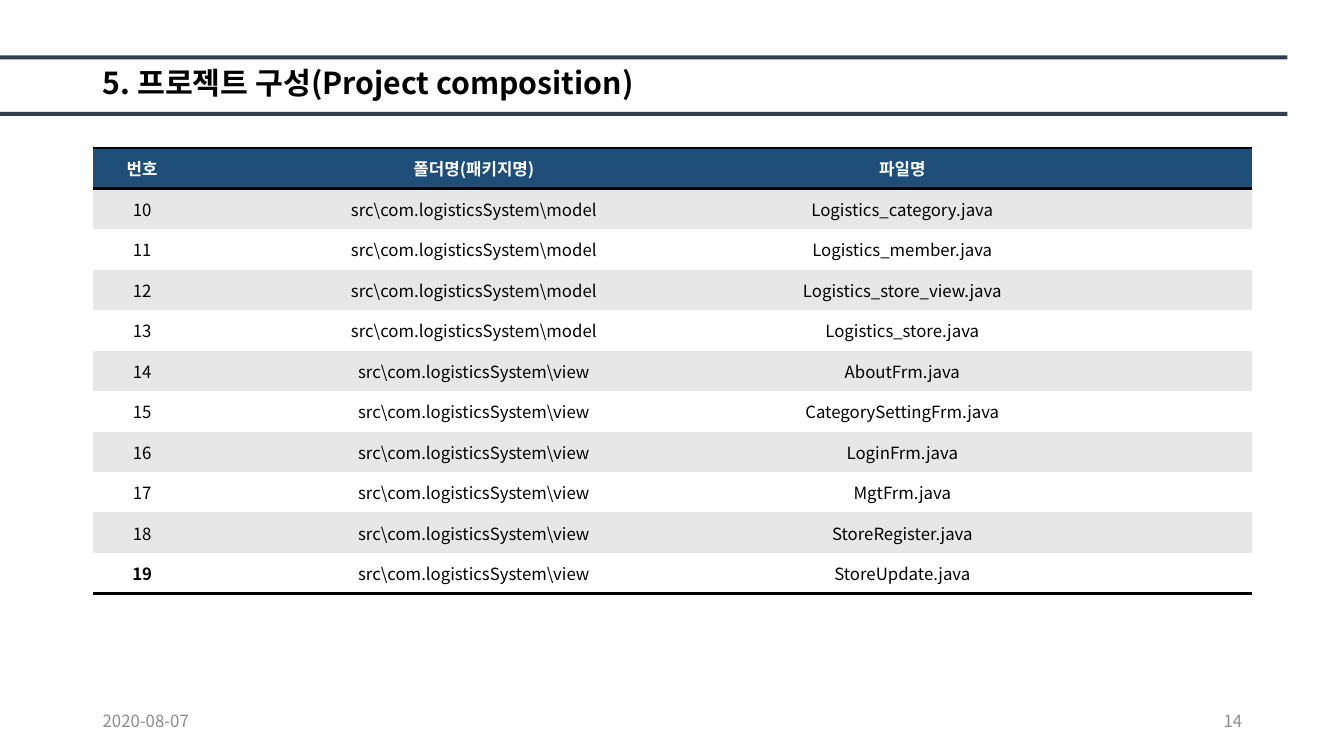
"""Builds the project composition slide with its file table."""
import pptx
import pptx.dml.color
import pptx.enum.shapes
import pptx.enum.text
import pptx.oxml.ns
import pptx.util
from lxml import etree

Inches, Pt = pptx.util.Inches, pptx.util.Pt
qn = pptx.oxml.ns.qn
RGB = pptx.dml.color.RGBColor.from_string
ALIGN = pptx.enum.text.PP_ALIGN
MIDDLE = pptx.enum.text.MSO_ANCHOR.MIDDLE
FONT = "Noto Sans CJK KR"
COLORS = {"black": "000000", "white": "FFFFFF", "rule": "333F50",
          "header": "1F4E79", "band": "E7E7E7", "footer": "8C8C8C"}


def write(p, text, size, color, bold=False, align=ALIGN.LEFT):
    p.text = text
    p.alignment = align
    for r in p.runs:
        r.font.size = Pt(size)
        r.font.name = FONT
        r.font.bold = bold
        r.font.color.rgb = RGB(COLORS[color])
        etree.SubElement(r.font._element, qn("a:ea"), typeface=FONT)
    if not text:
        etree.SubElement(p._p, qn("a:endParaRPr"), sz=str(size * 100))


def add_border(cell, side):
    ln = etree.SubElement(cell._tc.get_or_add_tcPr(), qn(side), w=str(Pt(2)))
    fill = etree.SubElement(ln, qn("a:solidFill"))
    etree.SubElement(fill, qn("a:srgbClr"), val=COLORS["black"])


prs = pptx.Presentation()
prs.slide_width, prs.slide_height = Inches(13.33), Inches(7.5)
s = prs.slides.add_slide(prs.slide_layouts[6])

texts = [
    ("5. 프로젝트 구성(Project composition)", 0.92, 0.61, 11.5, 0.46, 21.6, "black", True, ALIGN.LEFT),
    ("2020-08-07", 0.92, 6.95, 3, 0.4, 12, "footer", False, ALIGN.LEFT),
    ("14", 9.42, 6.95, 3, 0.4, 12, "footer", False, ALIGN.RIGHT),
]
for text, x, y, w, h, size, color, bold, align in texts:
    tf = s.shapes.add_textbox(Inches(x), Inches(y), Inches(w), Inches(h)).text_frame
    tf.word_wrap = True
    tf.vertical_anchor = MIDDLE
    write(tf.paragraphs[0], text, size, color, bold, align)
    if bold:
        tf.paragraphs[0].line_spacing = 0.9

for y in (1.11, 0.55):
    sp = s.shapes.add_shape(pptx.enum.shapes.MSO_SHAPE.RECTANGLE,
                            Inches(0), Inches(y), Inches(12.77), Inches(0.04))
    sp.shadow.inherit = False
    sp.fill.solid()
    sp.fill.fore_color.rgb = RGB(COLORS["rule"])
    sp.line.fill.background()

files = [
    ("model", "Logistics_category"), ("model", "Logistics_member"),
    ("model", "Logistics_store_view"), ("model", "Logistics_store"),
    ("view", "AboutFrm"), ("view", "CategorySettingFrm"), ("view", "LoginFrm"),
    ("view", "MgtFrm"), ("view", "StoreRegister"), ("view", "StoreUpdate"),
]
rows = [("번호", "폴더명(패키지명)", "파일명", "")]
for number, (package, name) in enumerate(files, 10):
    rows.append((str(number), f"src\\com.logisticsSystem\\{package}", f"{name}.java", ""))
last = len(rows) - 1

table = s.shapes.add_table(len(rows), 4, Inches(0.92), Inches(1.47),
                           Inches(11.5), Inches(4.42)).table
table.horz_banding = False
style = table._tbl.tblPr.find(qn("a:tableStyleId"))
style.text = "{2D5ABB26-0587-4C30-8999-92F81FD0307C}"
for column, width in zip(table.columns, (0.98, 5.6, 2.9, 2.02)):
    column.width = Inches(width)

for i, row in enumerate(rows):
    for j, text in enumerate(row):
        cell = table.cell(i, j)
        cell.vertical_anchor = MIDDLE
        bold = i == 0 or (i == last and j == 0)
        write(cell.text_frame.paragraphs[0], text, 12,
              "white" if i == 0 else "black", bold, ALIGN.CENTER)
        if i == 0:
            add_border(cell, "a:lnT")
        if i in (0, last):
            add_border(cell, "a:lnB")
        cell.fill.solid()
        fill = "header" if i == 0 else "band" if i % 2 else "white"
        cell.fill.fore_color.rgb = RGB(COLORS[fill])

prs.save("out.pptx")
